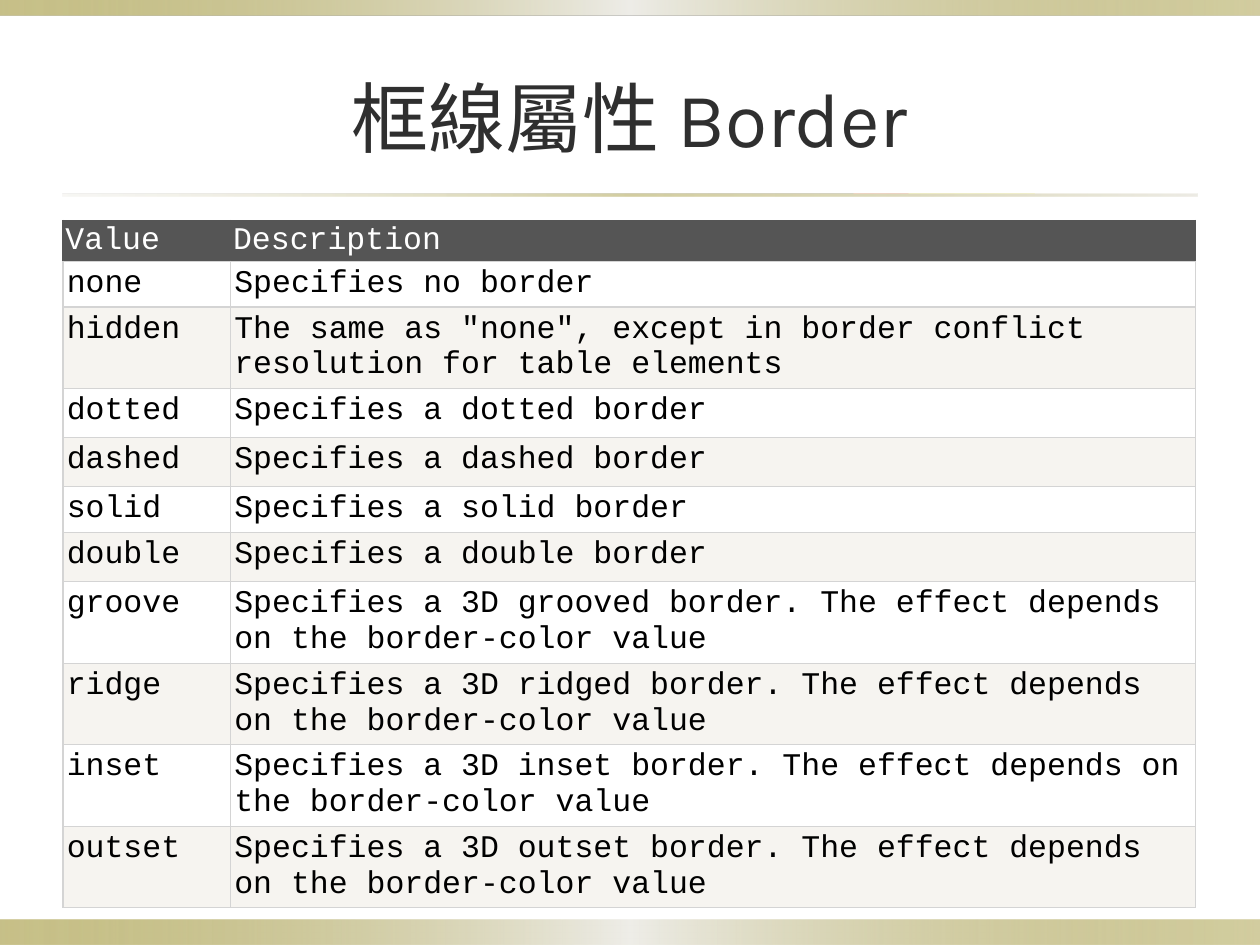
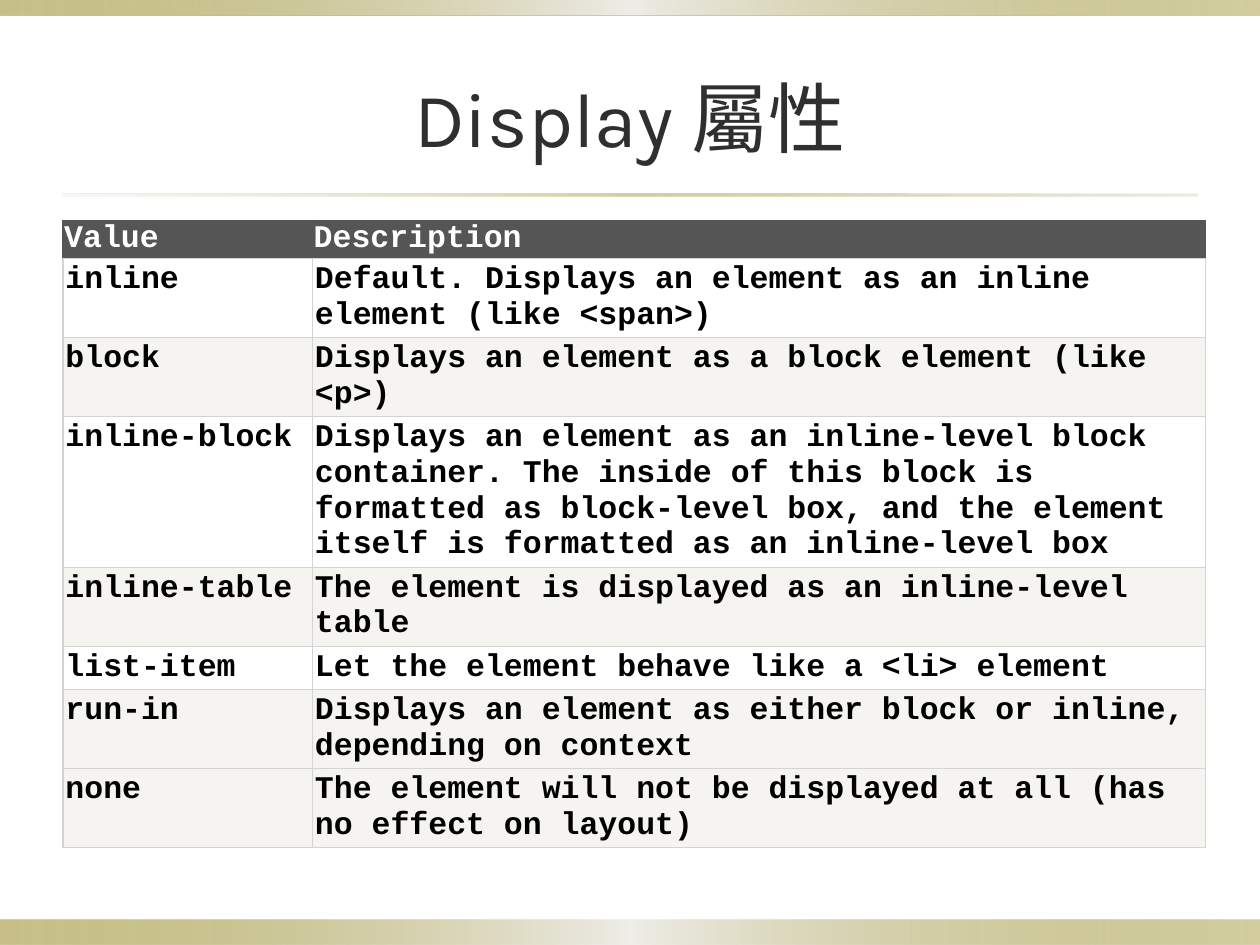
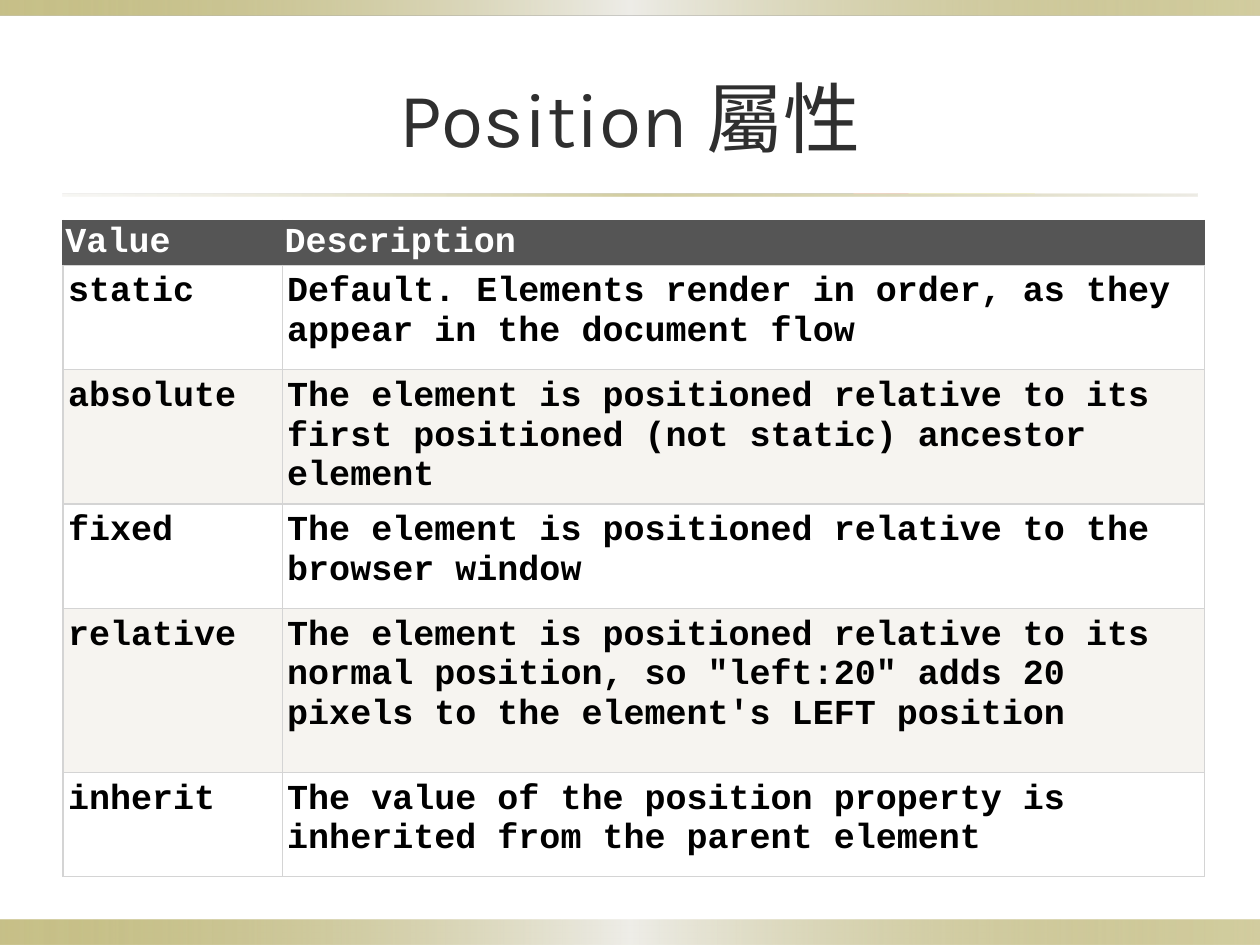
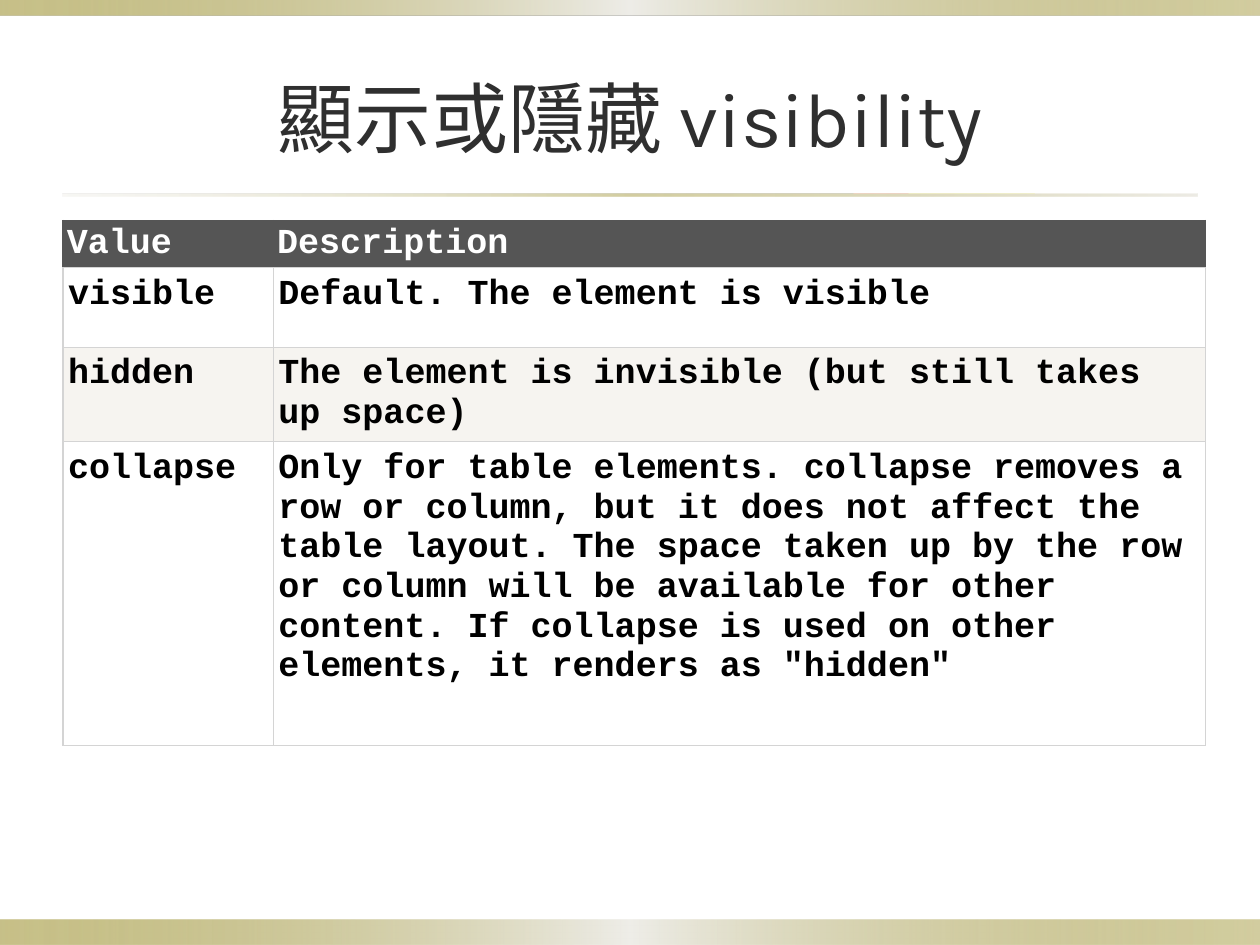
import dataclasses

import pptx
import pptx.dml.color
import pptx.enum.shapes
import pptx.enum.text
import pptx.oxml
import pptx.oxml.ns
import pptx.util

Inches = pptx.util.Inches


@dataclasses.dataclass(frozen=True)
class Theme:
    ink: str = "2F2F2F"
    text: str = "000000"
    white: str = "FFFFFF"
    head: str = "555555"
    tint: str = "F6F4F0"
    edge: str = "D4D4D4"
    bar: tuple = (("918415", 50), ("EEEDE8", 100), ("918415", 40))
    rule: tuple = (("DCD9CC", 20), ("918415", 40), ("DCD9CC", 50))
    title: str = "Karla"
    mono: str = "Courier New"
    large: int = 44
    line: float = 0.75


def color(code):
    return pptx.dml.color.RGBColor.from_string(code)


class Deck:
    def __init__(self, theme):
        self.theme = theme
        self.file = pptx.Presentation()
        self.file.slide_width = Inches(10)
        self.file.slide_height = Inches(7.5)
        self.slide = None

    def page(self, title):
        self.slide = self.file.slides.add_slide(self.file.slide_layouts[5])
        shape = self.slide.shapes.title
        shape.left, shape.top = Inches(0.5), Inches(0.3)
        shape.width, shape.height = Inches(9), Inches(1.25)
        frame = shape.text_frame
        frame.text = title
        frame.word_wrap = True
        frame.auto_size = pptx.enum.text.MSO_AUTO_SIZE.NONE
        frame.vertical_anchor = pptx.enum.text.MSO_ANCHOR.MIDDLE
        par = frame.paragraphs[0]
        par.alignment = pptx.enum.text.PP_ALIGN.CENTER
        self.font(par, self.theme.title, self.theme.large, self.theme.ink, False)

    def font(self, par, name, size, code, bold):
        font = par.font
        font.name = name
        font.size = pptx.util.Pt(size)
        font.bold = bold
        font.color.rgb = color(code)

    def band(self, left, top, width, height, stops):
        shape = self.slide.shapes.add_shape(
            pptx.enum.shapes.MSO_SHAPE.RECTANGLE,
            Inches(left), Inches(top), Inches(width), Inches(height))
        shape.shadow.inherit = False
        shape.line.fill.background()
        shape.fill.background()
        marks = "".join(
            f'<a:gs pos="{50000 * i}"><a:srgbClr val="{code}">'
            f'<a:alpha val="{alpha * 1000}"/></a:srgbClr></a:gs>'
            for i, (code, alpha) in enumerate(stops))
        grad = pptx.oxml.parse_xml(
            f'<a:gradFill {pptx.oxml.ns.nsdecls("a")} rotWithShape="1">'
            f'<a:gsLst>{marks}</a:gsLst><a:lin ang="0" scaled="0"/></a:gradFill>')
        props = shape.element.spPr
        props.replace(props.find(pptx.oxml.ns.qn("a:noFill")), grad)
        tree = self.file.slide_master.shapes.element
        shape.element.nvSpPr.cNvPr.set("id", str(100 + len(tree)))
        tree.append(shape.element)

    def frame(self):
        self.band(0, 7.3, 10, 0.2, self.theme.bar)
        self.band(0, 0, 10, 0.12, self.theme.bar)
        self.band(0.5, 1.54, 9, 0.02, self.theme.rule)

    def cell(self, cell, text, size, code, fill, edge, pad, bold):
        cell.text = text
        cell.margin_left = cell.margin_right = Inches(pad[0])
        cell.margin_top = cell.margin_bottom = Inches(pad[1])
        self.font(cell.text_frame.paragraphs[0], self.theme.mono, size, code, bold)
        props = cell._tc.get_or_add_tcPr()
        sides = {"L": edge, "R": edge, "T": edge, "B": self.theme.edge}
        for side, shade in sides.items():
            props.append(pptx.oxml.parse_xml(
                f'<a:ln{side} {pptx.oxml.ns.nsdecls("a")} '
                f'w="{pptx.util.Pt(self.theme.line)}"><a:solidFill>'
                f'<a:srgbClr val="{shade}"/></a:solidFill></a:ln{side}>'))
        cell.fill.solid()
        cell.fill.fore_color.rgb = color(fill)

    def table(self, items, cols, rows, size, head, body, bold=True, tints=(2, 4, 6, 8, 10)):
        theme = self.theme
        grid = self.slide.shapes.add_table(
            len(rows), len(cols), Inches(0.5), Inches(1.75),
            Inches(sum(cols)), Inches(sum(rows))).table
        grid.first_row = grid.horz_banding = False
        for col, width in zip(grid.columns, cols):
            col.width = Inches(width)
        for row, height in zip(grid.rows, rows):
            row.height = Inches(height)
        for r, pair in enumerate([("Value", "Description"), *items]):
            if r == 0:
                look = theme.white, theme.head, theme.head, (head, head)
            else:
                fill = theme.tint if r in tints else theme.white
                look = theme.text, fill, theme.edge, body
            for c, text in enumerate(pair):
                self.cell(grid.cell(r, c), text, size, *look, bold)


def main():
    deck = Deck(Theme())

    deck.page("框線屬性 Border")
    deck.frame()
    effects = [
        (name, f"Specifies a 3D {kind} border. The effect depends on the border-color value")
        for name, kind in (("groove", "grooved"), ("ridge", "ridged"),
                           ("inset", "inset"), ("outset", "outset"))]
    plain = [(name, f"Specifies a {name} border")
             for name in ("dotted", "dashed", "solid", "double")]
    deck.table([
        ("none", "Specifies no border"),
        ("hidden", 'The same as "none", except in border conflict resolution for table elements'),
        *plain, *effects,
    ], (1.33, 7.66), (0.19, 0.23, 0.55, 0.39, 0.39, 0.23, 0.39, *[0.55] * 4),
        18, 0.02, (0.03, 0.04), bold=False)

    deck.page("Display 屬性")
    deck.table([
        ("inline", "Default. Displays an element as an inline element (like <span>)"),
        ("block", "Displays an element as a block element (like <p>)"),
        ("inline-block", "Displays an element as an inline-level block container. "
         "The inside of this block is formatted as block-level box, "
         "and the element itself is formatted as an inline-level box"),
        ("inline-table", "The element is displayed as an inline-level table"),
        ("list-item", "Let the element behave like a <li> element"),
        ("run-in", "Displays an element as either block or inline, depending on context"),
        ("none", "The element will not be displayed at all (has no effect on layout)"),
    ], (1.98, 7.09), (0.14, 0.29, 0.29, 0.65, *[0.29] * 4),
        18, 0.01, (0.02, 0.03), tints=(2, 4, 6, 7))

    deck.page("Position 屬性")
    deck.table([
        ("static", "Default. Elements render in order, as they appear in the document flow"),
        ("absolute", "The element is positioned relative to its first positioned "
         "(not static) ancestor element"),
        ("fixed", "The element is positioned relative to the browser window"),
        ("relative", "The element is positioned relative to its normal position, "
         "so \"left:20\" adds 20 pixels to the element's LEFT position"),
        ("inherit", "The value of the position property is inherited from the parent element"),
    ], (1.74, 7.32), (0.29, 0.83, 1.06, 0.83, 1.3, 0.83), 20, 0.02, (0.04, 0.06))

    deck.page("顯示或隱藏 visibility")
    deck.table([
        ("visible", "Default. The element is visible"),
        ("hidden", "The element is invisible (but still takes up space)"),
        ("collapse", "Only for table elements. collapse removes a row or column, "
         "but it does not affect the table layout. The space taken up by the row or column "
         "will be available for other content. If collapse is used on other elements, "
         'it renders as "hidden"'),
    ], (1.67, 7.4), (0.31, 0.63, 0.63, 2.41), 20, 0.03, (0.04, 0.06))

    deck.file.save("out.pptx")


if __name__ == "__main__":
    main()
